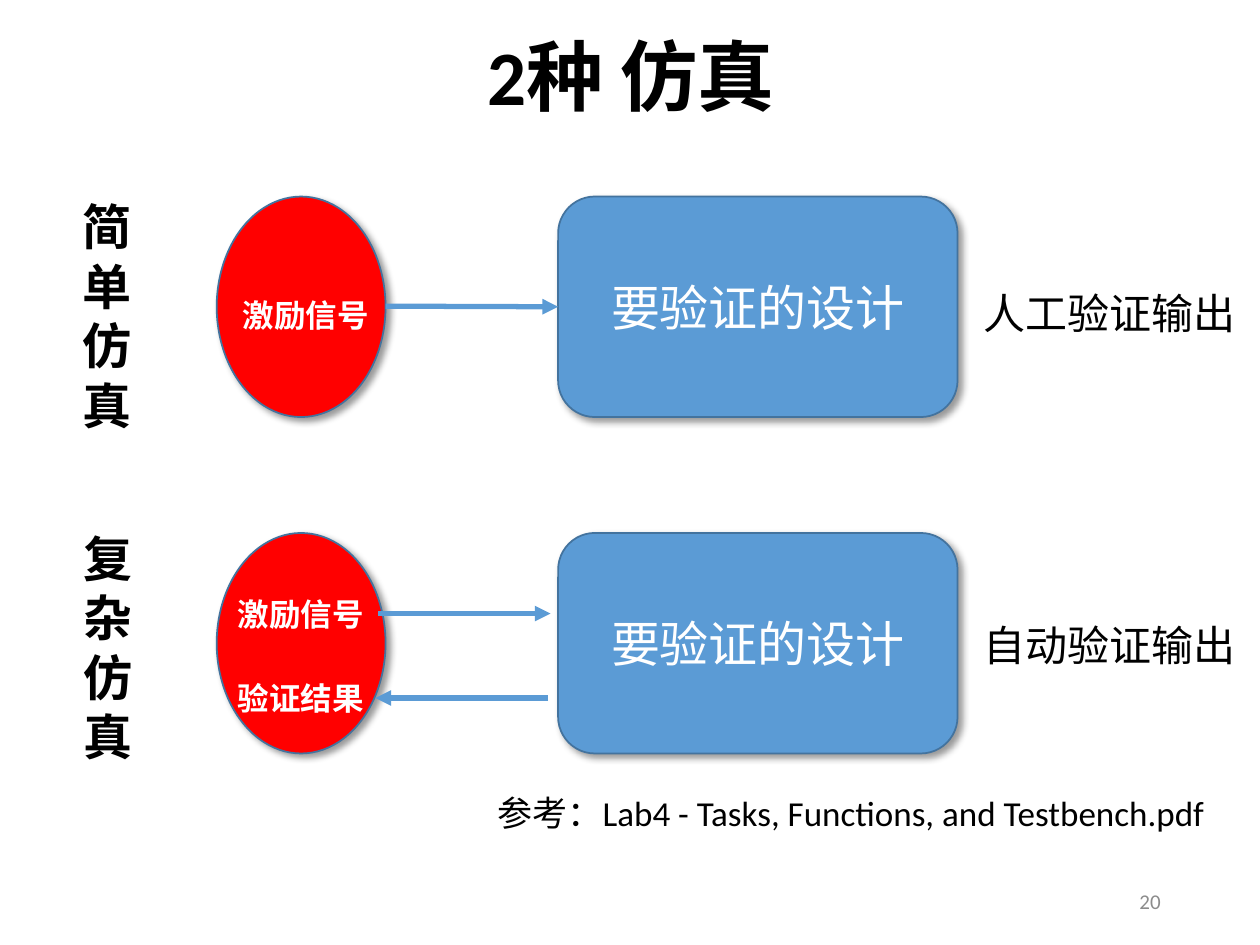
from lxml import etree
from pptx import Presentation
from pptx.dml.color import RGBColor
from pptx.enum.shapes import MSO_CONNECTOR as Connector, MSO_SHAPE as Shape
from pptx.enum.text import MSO_ANCHOR as Anchor, PP_ALIGN as Align
from pptx.oxml.ns import qn
from pptx.util import Inches, Pt

RED = RGBColor(0xFF, 0x00, 0x00)
BLUE = RGBColor(0x5B, 0x9B, 0xD5)
OUTLINE = RGBColor(0x43, 0x73, 0x9E)
WHITE = RGBColor(0xFF, 0xFF, 0xFF)
BLACK = RGBColor(0x00, 0x00, 0x00)
GRAY = RGBColor(0x8C, 0x8C, 0x8C)
LATIN_FONT = "Calibri"
CJK_FONT = "Noto Sans CJK SC"
ROW_HEIGHT = 1.75


def write(shape, text, size, color, bold=False, align=Align.LEFT, font=LATIN_FONT):
    shape.text_frame.text = text
    para = shape.text_frame.paragraphs[0]
    para.alignment = align
    span = para.runs[0]
    span.font.name, span.font.size, span.font.bold = font, Pt(size), bold
    span.font.color.rgb = color
    return span


def add_text(page, box, text, size, color=BLACK, wrap=False, **style):
    label = page.shapes.add_textbox(*map(Inches, box))
    label.text_frame.word_wrap = wrap
    write(label, text, size, color, **style)
    return label


def add_vertical_text(page, box, text):
    label = add_text(page, box, text, 28, bold=True, font=CJK_FONT)
    label.text_frame._txBody.find(qn("a:bodyPr")).set("vert", "eaVert")
    properties = label.text_frame.paragraphs[0].runs[0]._r.get_or_add_rPr()
    properties.set("spc", "600")
    etree.SubElement(properties, qn("a:ea"), typeface=CJK_FONT)


def add_block(page, kind, box, fill):
    block = page.shapes.add_shape(kind, *map(Inches, box))
    block.fill.solid()
    block.fill.fore_color.rgb = fill
    block.line.color.rgb = OUTLINE
    block.line.width = Pt(1)
    # Soft shadow to the lower right
    block.shadow.inherit = False
    effects = block._element.spPr.find(qn("a:effectLst"))
    shadow = etree.SubElement(effects, qn("a:outerShdw"), blurRad=str(Pt(4)),
                              dist=str(Pt(3)), dir="2700000", algn="tl", rotWithShape="0")
    shade = etree.SubElement(shadow, qn("a:srgbClr"), val="000000")
    etree.SubElement(shade, qn("a:alpha"), val="40000")
    return block


def add_arrow(page, start, end, y):
    arrow = page.shapes.add_connector(Connector.STRAIGHT, Inches(start), Inches(y),
                                      Inches(end), Inches(y))
    arrow.line.color.rgb = BLUE
    arrow.line.width = Pt(3)
    etree.SubElement(arrow.line._get_or_add_ln(), qn("a:tailEnd"), type="triangle")
    etree.SubElement(arrow._element.spPr, qn("a:effectLst"))
    return arrow


def add_title(page, box, text):
    title = page.shapes.title
    title.left, title.top, title.width, title.height = map(Inches, box)
    title.text_frame.vertical_anchor = Anchor.MIDDLE
    write(title, text, 44, BLACK, bold=True, align=Align.CENTER)
    title.text_frame.paragraphs[0].line_spacing = 0.9


def add_simulation(page, top, name, name_box, signals, output, output_top):
    """Draw one kind of simulation; signals holds (text, left, top, arrow)."""
    # Stimulus and design under test
    add_block(page, Shape.OVAL, (1.72, top, 1.34, ROW_HEIGHT), RED)
    design = add_block(page, Shape.ROUNDED_RECTANGLE, (4.43, top, 3.17, ROW_HEIGHT), BLUE)
    design.text_frame.vertical_anchor = Anchor.MIDDLE
    write(design, "要验证的设计", 28, WHITE, align=Align.CENTER)

    # Signals and their arrows
    for text, left, label_top, (start, end, y) in signals:
        add_text(page, (left, label_top, 1.21, 0.4), text, 18, WHITE,
                 bold=True, align=Align.CENTER)
        arrow = add_arrow(page, start, end, y)
        if Inches(end) == design.left:
            arrow.end_connect(design, 1)

    # Row name and the way its output is checked
    add_vertical_text(page, name_box, name)
    add_text(page, (7.71, output_top, 2.22, 0.5), output, 24)


def add_footer(page):
    add_text(page, (3.85, 6.23, 5.87, 0.44),
             "参考：Lab4 - Tasks, Functions, and Testbench.pdf", 20, wrap=True)
    number = add_text(page, (7.06, 6.95, 2.25, 0.4), "20", 12, GRAY,
                      wrap=True, align=Align.RIGHT)
    number.text_frame.vertical_anchor = Anchor.MIDDLE


def main():
    deck = Presentation()
    deck.slide_width, deck.slide_height = Inches(10), Inches(7.5)
    page = deck.slides.add_slide(deck.slide_layouts[5])
    add_title(page, (0.7, 0.19, 8.62, 0.9), "2种 仿真")
    add_simulation(page, 1.56, "简单仿真", (0.45, 1.51, 0.67, 1.99),
                   [("激励信号", 1.82, 2.3, (3.06, 4.43, 2.43))],
                   "人工验证输出", 2.23)
    add_simulation(page, 4.23, "复杂仿真", (0.46, 4.14, 0.67, 1.99),
                   [("激励信号", 1.78, 4.67, (3, 4.37, 4.87)),
                    ("验证结果", 1.78, 5.34, (4.35, 2.98, 5.54))],
                   "自动验证输出", 4.87)
    add_footer(page)
    deck.save("out.pptx")


if __name__ == "__main__":
    main()
